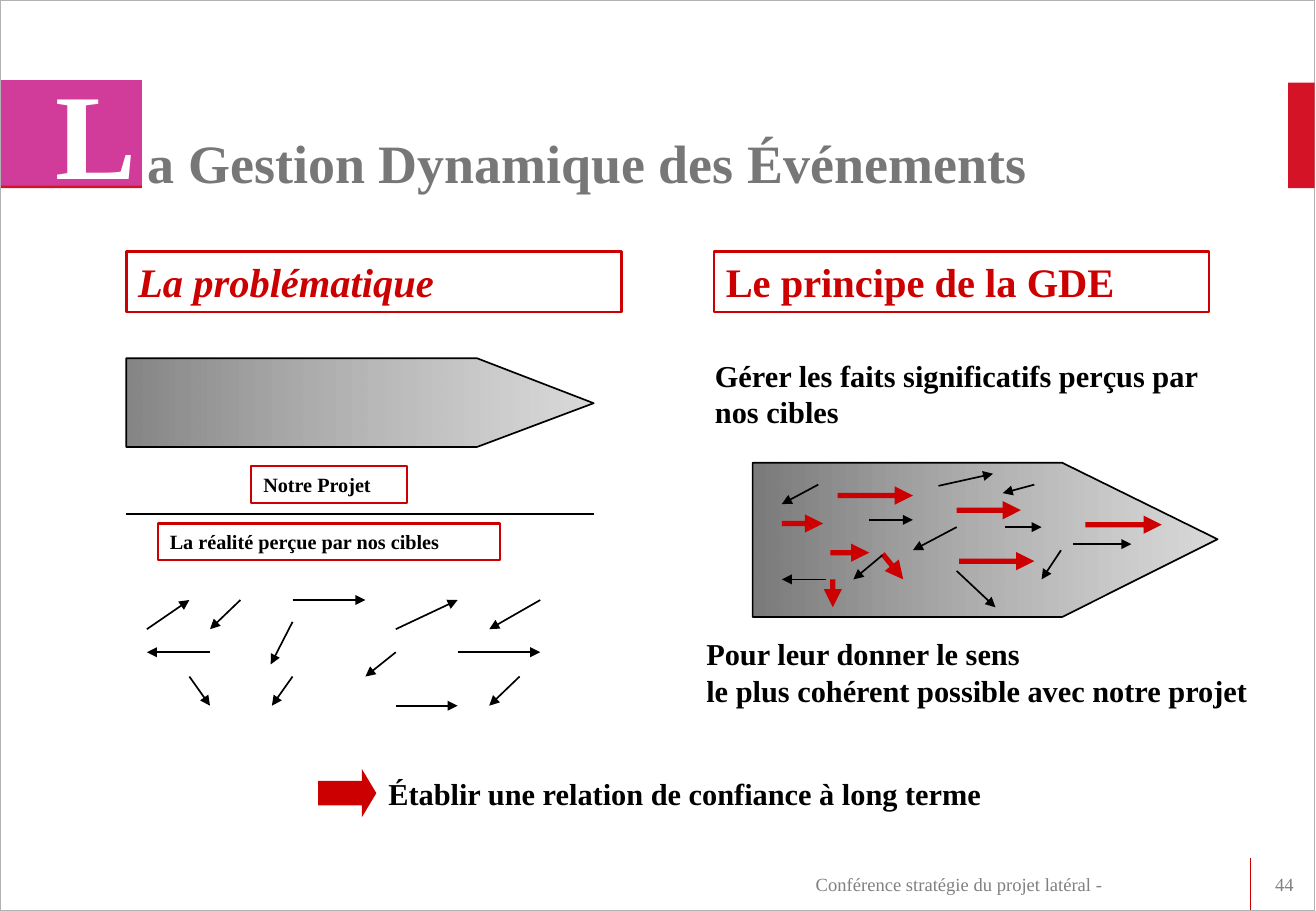
from math import atan2, degrees, hypot
from pptx import Presentation
from pptx.dml.color import RGBColor
from pptx.enum.shapes import MSO_CONNECTOR, MSO_SHAPE as SHAPE
from pptx.enum.text import MSO_ANCHOR as ANCHOR, PP_ALIGN as ALIGN
from pptx.oxml.ns import qn
from pptx.util import Pt
from lxml.etree import SubElement

PX = 9144  # 100 px to the inch
FONT = "Times New Roman"
RED, BLACK, WHITE, GREY = "CC0000", "000000", "FFFFFF", "808080"
CRIMSON, PINK = "D41426", "D13C9B"

# left, top, width, height, fill, line, line width
PANELS = [
    (1, 68, 116, 87, CRIMSON, None, 0),
    (32, 739, 193, 11, WHITE, WHITE, 0.75),
    (0, 0, 1083, 750, None, "B2B2B2", 0.75),
    (1061, 68, 22, 87, CRIMSON, None, 0),
    (1, 66, 116, 87, PINK, None, 0),
]
HEADINGS = [
    ("La problématique", 104, True),
    ("Le principe de la GDE", 588, False),
]
LABELS = [
    ("Notre Projet", (207, 384, 128, 30)),
    ("La réalité perçue par nos cibles", (130, 431, 282, 30)),
]
STATEMENTS = [
    (["Gérer les faits significatifs perçus par", "nos cibles"], (579, 289, 419, 70)),
    (["Pour leur donner le sens", "le plus cohérent possible avec notre projet"],
     (572, 518, 473, 70)),
    (["Établir une relation de confiance à long terme"], (310, 633, 509, 40)),
]
# left, top, shoulder, right, bottom, start colour
PENTAGONS = [
    (620, 381, 875, 1003, 508, "7A7A7A"),
    (104, 295, 393, 489, 368, "868686"),
]
# x1, y1, x2, y2
PERCEIVED_EVENTS = [
    (121, 518, 156, 494), (198, 494, 173, 518), (173, 537, 121, 537),
    (241, 494, 301, 494), (326, 518, 377, 494), (445, 494, 403, 518),
    (377, 537, 445, 537), (428, 557, 403, 581), (326, 581, 377, 581),
    (326, 537, 301, 557), (241, 557, 224, 581), (156, 557, 173, 581),
    (241, 512, 223, 547),
]
MANAGED_EVENTS = [
    (884, 448, 932, 448), (874, 453, 858, 477), (828, 434, 858, 434),
    (788, 470, 820, 500), (788, 434, 752, 453), (852, 399, 826, 406),
    (773, 400, 818, 390), (727, 457, 703, 477), (680, 477, 644, 477),
    (674, 399, 644, 415), (716, 428, 752, 428),
]
GUIDING_ARROWS = [
    (690, 408, 752, 408), (894, 432, 957, 432), (790, 462, 852, 462),
    (788, 420, 841, 420), (644, 431, 678, 431), (684, 455, 716, 455),
    (686, 477, 686, 500), (727, 456, 744, 477),
]
HEAD = 15

prs = Presentation()
prs.slide_width, prs.slide_height = 1084 * PX, 750 * PX
slide = prs.slides.add_slide(prs.slide_layouts[6])
shapes = slide.shapes


def rgb(value):
    return RGBColor.from_string(value)


def paint(s, fill=None, line=None, width=0.75):
    s.shadow.inherit = False
    if fill:
        s.fill.solid()
        s.fill.fore_color.rgb = rgb(fill)
    else:
        s.fill.background()
    outline(s, line, width)


def outline(s, line, width):
    if line:
        s.line.color.rgb = rgb(line)
        s.line.width = Pt(width)
    else:
        s.line.fill.background()


def add_preset(kind, box, fill=None, line=None, width=0.75):
    s = shapes.add_shape(kind, *(round(v * PX) for v in box))
    paint(s, fill, line, width)
    return s


def write(s, lines, size, color, bold=True, italic=False, align=ALIGN.LEFT,
          anchor=ANCHOR.TOP, wrap=True):
    tf = s.text_frame
    tf.word_wrap = wrap
    tf.vertical_anchor = anchor
    tf.text = "\n".join(lines)
    for p in tf.paragraphs:
        p.alignment = align
        p.font.name, p.font.size = FONT, Pt(size)
        p.font.bold, p.font.italic = bold, italic
        p.font.color.rgb = rgb(color)
    return tf


def add_text(box, lines, size, color, **style):
    s = shapes.add_textbox(*(v * PX for v in box))
    return write(s, lines, size, color, **style)


def add_line(ends, color=BLACK, width=1, arrow=False):
    c = shapes.add_connector(MSO_CONNECTOR.STRAIGHT, *(v * PX for v in ends))
    c.line.color.rgb = rgb(color)
    c.line.width = Pt(width)
    if arrow:
        SubElement(c.line._get_or_add_ln(), qn("a:tailEnd"), type="triangle")
    SubElement(c._element.spPr, qn("a:effectLst"))


def add_pentagon(left, top, shoulder, right, bottom, start):
    """Draw a pointed bar fading to a translucent grey."""
    builder = shapes.build_freeform(left, top, scale=PX)
    builder.add_line_segments([(shoulder, top), (right, (top + bottom) / 2),
                               (shoulder, bottom), (left, bottom)])
    s = builder.convert_to_shape()
    s.shadow.inherit = False
    s.fill.gradient()
    s.fill.gradient_angle = 0
    for stop, color in zip(s.fill.gradient_stops, (start, "C0C0C0")):
        stop.color.rgb = rgb(color)
    end_color = s._element.findall(".//" + qn("a:srgbClr"))[-1]
    SubElement(end_color, qn("a:alpha"), val="60000")
    outline(s, BLACK, 1)


def add_guiding_arrow(x1, y1, x2, y2):
    """Draw a block arrow turned to run from one point to the other."""
    length = hypot(x2 - x1, y2 - y1)
    box = ((x1 + x2 - length) / 2, (y1 + y2 - HEAD) / 2, length, HEAD)
    s = add_preset(SHAPE.RIGHT_ARROW, box, RED)
    s.adjustments[0], s.adjustments[1] = 0.29, 1
    s.rotation = degrees(atan2(y2 - y1, x2 - x1))


for *box, fill, line, width in PANELS:
    add_preset(SHAPE.RECTANGLE, box, fill, line, width)
add_line((1030, 749, 1030, 706), RED, 0.75)

title = add_text((112, 109, 896, 94), ["a Gestion Dynamique des Événements"], 32, "777777")
title.margin_top = 10 * PX
title.paragraphs[0].line_spacing = 0.75
add_text((5, 65, 117, 86), ["L"], 72, WHITE, align=ALIGN.RIGHT, anchor=ANCHOR.MIDDLE)
add_text((1030, 714, 56, 33), ["44"], 11, GREY, bold=False, align=ALIGN.CENTER)
add_text((620, 714, 298, 52), ["Conférence stratégie du projet latéral -"], 11, GREY,
         bold=False, align=ALIGN.RIGHT)

for pentagon in PENTAGONS:
    add_pentagon(*pentagon)
for text, left, italic in HEADINGS:
    s = add_preset(SHAPE.RECTANGLE, (left, 207, 408, 50), WHITE, RED, 1.5)
    write(s, [text], 24, RED, italic=italic, anchor=ANCHOR.MIDDLE)
for text, box in LABELS:
    s = add_preset(SHAPE.RECTANGLE, box, None, RED, 1.25)
    write(s, [text], 12, BLACK)
for lines, box in STATEMENTS:
    add_text(box, lines, 18, BLACK, anchor=ANCHOR.MIDDLE, wrap=False)

add_line((104, 423, 489, 423), width=1.5)
for arrow in GUIDING_ARROWS:
    add_guiding_arrow(*arrow)
for ends in PERCEIVED_EVENTS + MANAGED_EVENTS:
    add_line(ends, arrow=True)
conclusion = add_preset(SHAPE.RIGHT_ARROW, (262, 633, 48, 40), RED)
conclusion.adjustments[1] = 0.3

prs.save("out.pptx")
